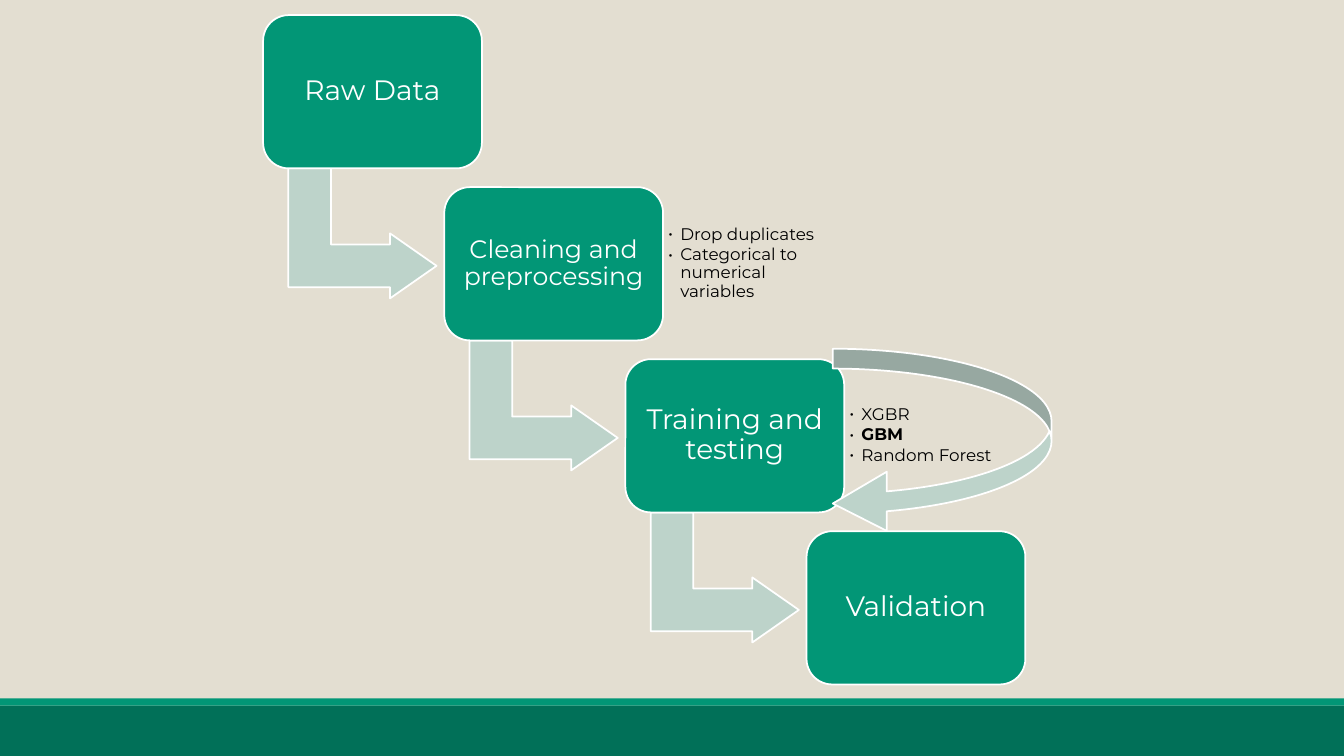
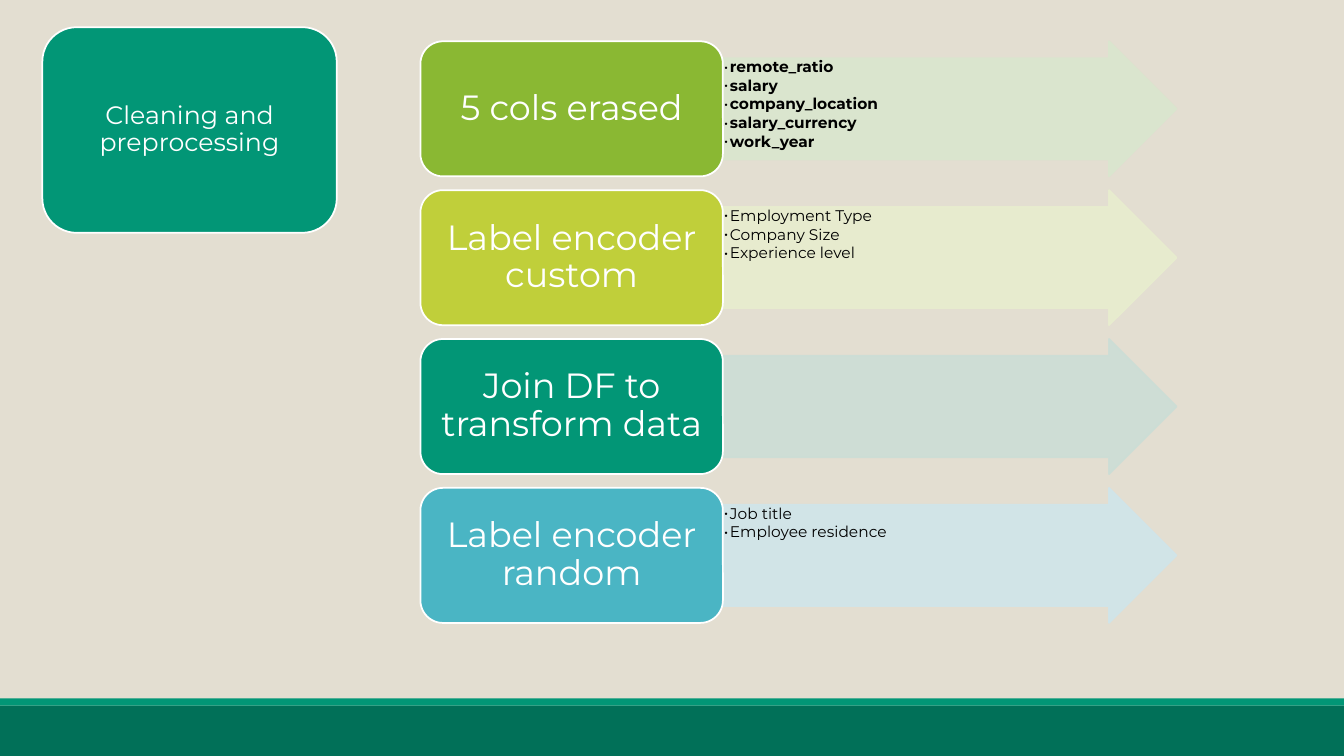
from lxml import etree
from pptx import Presentation
from pptx.dml.color import RGBColor
from pptx.enum.shapes import MSO_SHAPE
from pptx.enum.text import MSO_ANCHOR, PP_ALIGN
from pptx.oxml.ns import qn
from pptx.util import Inches, Pt

RECT, ROUND = MSO_SHAPE.RECTANGLE, MSO_SHAPE.ROUNDED_RECTANGLE
BENT, RIGHT = MSO_SHAPE.BENT_UP_ARROW, MSO_SHAPE.RIGHT_ARROW
CURVED = MSO_SHAPE.CURVED_LEFT_ARROW
MIDDLE, TOP = MSO_ANCHOR.MIDDLE, MSO_ANCHOR.TOP
CENTER, LEFT = PP_ALIGN.CENTER, PP_ALIGN.LEFT

FONT = "Montserrat"
C = {
    "sand": "E3DED1", "dark": "017058", "green": "029676", "white": "FFFFFF",
    "black": "000000", "mist": "BDD3CA", "leaf": "8AB833", "lime": "C0CF3A",
    "sky": "4AB5C4", "leaf_pale": "DAE6CE", "lime_pale": "E8EDCE",
    "green_pale": "CCDDD6", "sky_pale": "D0E5EA",
}
STEPS = [
    ("Raw Data", 20, []),
    ("Cleaning and preprocessing", 18,
     [("Drop duplicates", False), ("Categorical to numerical variables", False)]),
    ("Training and testing", 20,
     [("XGBR", False), ("GBM", True), ("Random Forest", False)]),
    ("Validation", 20, []),
]
ROWS = [
    ("5 cols erased", "leaf", True,
     ["remote_ratio", "salary", "company_location", "salary_currency", "work_year"]),
    ("Label encoder custom", "lime", False,
     ["Employment Type", "Company Size", "Experience level"]),
    ("Join DF to transform data", "green", False, []),
    ("Label encoder random", "sky", False, ["Job title", "Employee residence"]),
]


def rgb(name):
    """Return the palette colour as an RGBColor."""
    return RGBColor.from_string(C[name])


def spread(first, last, count):
    """Return evenly spaced positions from first to last."""
    return [first + (last - first) * i / (count - 1) for i in range(count)]


def add_shape(s, kind, x, y, w, h, fill, line=None, adj=()):
    """Add a flat preset shape with an optional outline."""
    sp = s.shapes.add_shape(kind, Inches(x), Inches(y), Inches(w), Inches(h))
    sp.shadow.inherit = False
    sp.fill.solid()
    sp.fill.fore_color.rgb = rgb(fill)
    if line:
        sp.line.color.rgb = rgb(line)
        sp.line.width = Pt(1.25)
    else:
        sp.line.fill.background()
    for i, value in enumerate(adj):
        sp.adjustments[i] = value
    return sp


def set_alpha(sp, percent):
    """Make the solid fill and outline of a shape translucent."""
    for color in sp._element.spPr.iter(qn("a:srgbClr")):
        etree.SubElement(color, qn("a:alpha"), val=str(percent * 1000))


def set_frame(sp, anchor, margin_x, margin_y):
    """Set wrapping, anchor and insets, and return the text frame."""
    tf = sp.text_frame
    tf.word_wrap = True
    tf.vertical_anchor = anchor
    tf.margin_left = tf.margin_right = Inches(margin_x)
    tf.margin_top = tf.margin_bottom = Inches(margin_y)
    return tf


def add_run(p, text, size, color, bold=False):
    """Add one formatted run to a paragraph."""
    r = p.add_run()
    r.text = text
    r.font.name = FONT
    r.font.size = Pt(size)
    r.font.bold = bold
    r.font.color.rgb = rgb(color)


def add_box(s, x, y, w, h, text, size, fill="green", margins=(0.08, 0.08)):
    """Add a rounded box with a centred white label."""
    sp = add_shape(s, ROUND, x, y, w, h, fill, "white", [0.167])
    p = set_frame(sp, MIDDLE, *margins).paragraphs[0]
    p.alignment = CENTER
    p.line_spacing = 0.9
    add_run(p, text, size, "white")


def write_bullets(tf, items, size, indent):
    """Fill a text frame with (text, bold) bullets on a hanging indent."""
    for i, (text, bold) in enumerate(items):
        p = tf.add_paragraph() if i else tf.paragraphs[0]
        p.alignment = LEFT
        p.line_spacing = 0.9
        p.space_after = Pt(round(size * 0.135, 1))
        pPr = p._p.get_or_add_pPr()
        pPr.set("marL", str(Inches(indent)))
        pPr.set("indent", str(-Inches(indent)))
        etree.SubElement(pPr, qn("a:buFont"), typeface=FONT)
        etree.SubElement(pPr, qn("a:buChar"), char="•")
        add_run(p, text, size, "black", bold)


def add_base_slide(prs):
    """Add a blank slide with the two footer bands."""
    s = prs.slides.add_slide(prs.slide_layouts[6])
    add_shape(s, RECT, 0, 7, 13.33, 0.5, "dark")
    add_shape(s, RECT, 0, 6.93, 13.33, 0.07, "green")
    return s


def build_pipeline(prs):
    """Build the staircase of processing steps."""
    s = add_base_slide(prs)
    w, h = 2.17, 1.52
    n = len(STEPS)
    places = zip(spread(2.61, 8, n), spread(0.15, 5.27, n))
    for i, ((x, y), (label, size, notes)) in enumerate(zip(places, STEPS)):
        if i < n - 1:
            arrow = add_shape(s, BENT, x + 0.34, y + 1.43, 1.29, 1.47,
                              "mist", "white", [0.328, 0.25, 0.358])
            arrow.rotation = 90
        add_box(s, x, y, w, h, label, size)
        if notes:
            tb = s.shapes.add_textbox(Inches(x + w), Inches(y + 0.14),
                                      Inches(1.58), Inches(1.23))
            write_bullets(set_frame(tb, MIDDLE, 0.05, 0.05), notes, 12, 0.12)
    add_shape(s, CURVED, 8.26, 3.46, 2.17, 1.83, "mist", "white",
              [0.108, 0.321, 0.293])


def build_cleaning(prs):
    """Build the detail of the cleaning step, one arrow a row."""
    s = add_base_slide(prs)
    add_box(s, 0.42, 0.27, 2.92, 2.04, "Cleaning and preprocessing", 18)
    x, w, h = 4.17, 3, 1.34
    tops = spread(0.41, 4.84, len(ROWS))
    for y, (label, color, bold, items) in zip(tops, ROWS):
        pale = color + "_pale"
        arrow = add_shape(s, RIGHT, x + w, y, 4.5, h, pale, pale, [0.75, 0.5])
        set_alpha(arrow, 90)
        tf = set_frame(arrow, TOP, 0.01, 0.01)
        write_bullets(tf, [(item, bold) for item in items], 11, 0.06)
        add_box(s, x, y, w, h, label, 25, color, (0.1, 0.05))


def main():
    """Build the presentation and save it."""
    prs = Presentation()
    prs.slide_width, prs.slide_height = Inches(13.33), Inches(7.5)
    background = prs.slide_master.background.fill
    background.solid()
    background.fore_color.rgb = rgb("sand")
    build_pipeline(prs)
    build_cleaning(prs)
    prs.save("out.pptx")


if __name__ == "__main__":
    main()
